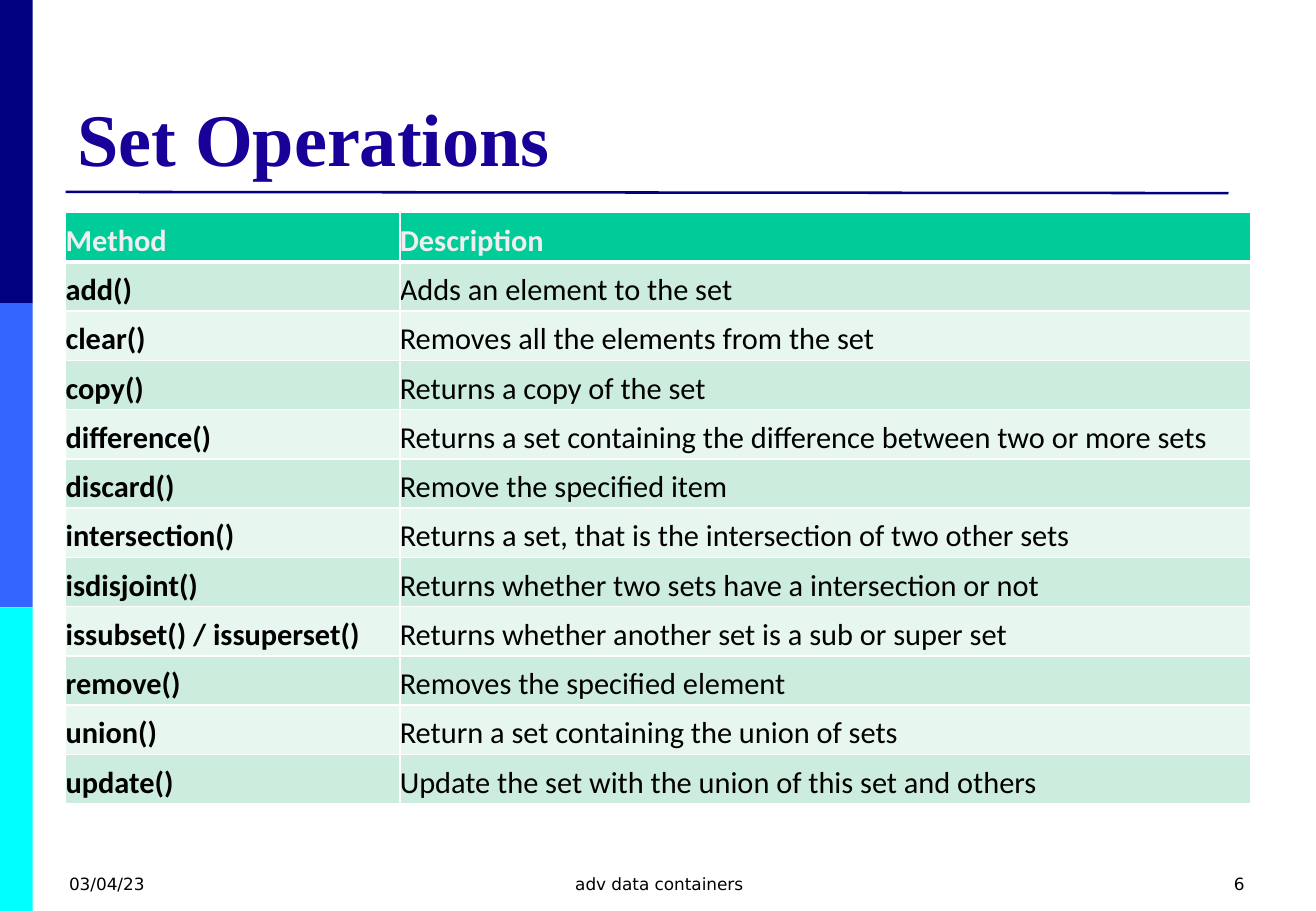
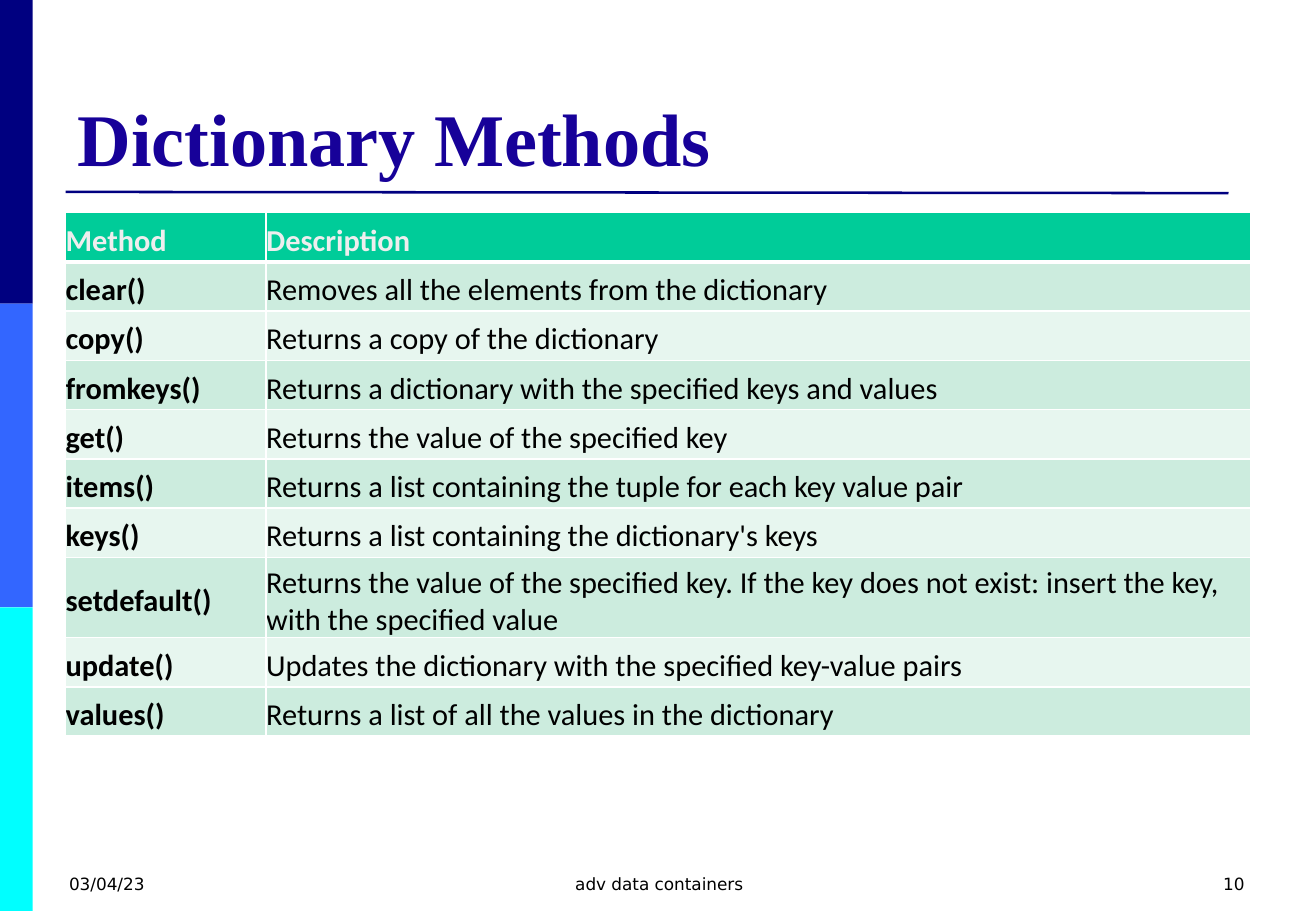
"""Builds two method reference slides with a shared frame and table style."""
from dataclasses import dataclass

from lxml import etree
from pptx import Presentation
from pptx.dml.color import RGBColor
from pptx.enum.shapes import MSO_CONNECTOR, MSO_SHAPE
from pptx.enum.text import MSO_ANCHOR, PP_ALIGN
from pptx.oxml.ns import qn
from pptx.util import Inches, Pt

RECT = MSO_SHAPE.RECTANGLE
STRAIGHT = MSO_CONNECTOR.STRAIGHT
TOP, MIDDLE, BOTTOM = MSO_ANCHOR.TOP, MSO_ANCHOR.MIDDLE, MSO_ANCHOR.BOTTOM
LEFT, CENTER, RIGHT = PP_ALIGN.LEFT, PP_ALIGN.CENTER, PP_ALIGN.RIGHT

NAVY = RGBColor(0x00, 0x00, 0x80)
BLUE = RGBColor(0x33, 0x66, 0xFF)
CYAN = RGBColor(0x00, 0xFF, 0xFF)
TITLE_INK = RGBColor(0x17, 0x01, 0x99)
BLACK = RGBColor(0x00, 0x00, 0x00)
WHITE = RGBColor(0xFF, 0xFF, 0xFF)
HEAD_INK = RGBColor(0xEE, 0xEE, 0xEE)
HEAD_FILL = RGBColor(0x00, 0xCC, 0x99)
BAND_FILLS = (RGBColor(0xCC, 0xEC, 0xDE), RGBColor(0xE7, 0xF6, 0xEF))

SLIDE_W, SLIDE_H = 10.83, 7.5
BAND_W = 0.27
MARGIN = 2 * BAND_W
CONTENT_W = 9.75
TABLE_TOP = 1.75
ROW_H = 4.87 / 12
FOOTER_TOP, FOOTER_H = 7.14, 0.36
HEADER = ("Method", "Description")


@dataclass(frozen=True)
class MethodSlide:
    """Title, page number, first column width and table rows of a slide."""

    title: str
    number: int
    method_w: float
    rows: tuple[tuple[str, str], ...]


SLIDES = (
    MethodSlide("Set Operations", 6, 2.75, (
        ("add()", "Adds an element to the set"),
        ("clear()", "Removes all the elements from the set"),
        ("copy()", "Returns a copy of the set"),
        ("difference()", "Returns a set containing the difference between two or more sets"),
        ("discard()", "Remove the specified item"),
        ("intersection()", "Returns a set, that is the intersection of two other sets"),
        ("isdisjoint()", "Returns whether two sets have a intersection or not"),
        ("issubset() / issuperset()", "Returns whether another set is a sub or super set"),
        ("remove()", "Removes the specified element"),
        ("union()", "Return a set containing the union of sets"),
        ("update()", "Update the set with the union of this set and others"),
    )),
    MethodSlide("Dictionary Methods", 10, 1.65, (
        ("clear()", "Removes all the elements from the dictionary"),
        ("copy()", "Returns a copy of the dictionary"),
        ("fromkeys()", "Returns a dictionary with the specified keys and values"),
        ("get()", "Returns the value of the specified key"),
        ("items()", "Returns a list containing the tuple for each key value pair"),
        ("keys()", "Returns a list containing the dictionary's keys"),
        ("setdefault()", "Returns the value of the specified key. If the key does not exist: "
                         "insert the key, with the specified value"),
        ("update()", "Updates the dictionary with the specified key-value pairs"),
        ("values()", "Returns a list of all the values in the dictionary"),
    )),
)


def write(tf, text: str, *, font: str, size: float, color: RGBColor,
          bold: bool = False, align=LEFT) -> None:
    """Write one formatted paragraph into a text frame."""
    p = tf.paragraphs[0]
    p.alignment = align
    r = p.add_run()
    r.text = text
    r.font.name, r.font.size, r.font.bold = font, Pt(size), bold
    r.font.color.rgb = color


def add_text(s, text: str, x: float, y: float, w: float, h: float, *,
             anchor=TOP, **style) -> None:
    """Add a wrapping text box."""
    tf = s.shapes.add_textbox(Inches(x), Inches(y), Inches(w), Inches(h)).text_frame
    tf.word_wrap = True
    tf.vertical_anchor = anchor
    write(tf, text, **style)


def add_frame(s, title: str, number: int) -> None:
    """Draw the side bands, title, rule and footer."""
    band_h = SLIDE_H / 3
    for i, color in enumerate((NAVY, BLUE, CYAN)):
        sp = s.shapes.add_shape(RECT, 0, Inches(i * band_h), Inches(BAND_W), Inches(band_h))
        sp.shadow.inherit = False
        sp.fill.solid()
        sp.fill.fore_color.rgb = color
        sp.line.fill.background()
    rule = s.shapes.add_connector(STRAIGHT, Inches(MARGIN), Inches(1.58),
                                  Inches(10.11), Inches(1.59))
    rule.line.color.rgb = NAVY
    rule.line.width = Pt(1.5)
    etree.SubElement(rule.line._get_or_add_ln().getparent(), qn("a:effectLst"))
    add_text(s, title, MARGIN, 0.3, CONTENT_W, 1.24, anchor=BOTTOM,
             font="Times New Roman", size=44, color=TITLE_INK, bold=True)
    footers = (("03/04/23", 0.47, 2.53, LEFT),
               ("adv data containers", 3.71, 3.43, CENTER),
               (str(number), 7.81, 2.53, RIGHT))
    for text, x, w, align in footers:
        add_text(s, text, x, FOOTER_TOP, w, FOOTER_H,
                 font="DejaVu Sans", size=10, color=BLACK, align=align)


def set_borders(cell, bottom: float) -> None:
    """Give a cell white borders, with its own bottom width in points."""
    tc_pr = cell._tc.get_or_add_tcPr()
    for i, (side, width) in enumerate((("L", 1), ("R", 1), ("T", 1), ("B", bottom))):
        ln = etree.Element(qn(f"a:ln{side}"), w=str(Pt(width)))
        fill = etree.SubElement(ln, qn("a:solidFill"))
        etree.SubElement(fill, qn("a:srgbClr"), val=str(WHITE))
        tc_pr.insert(i, ln)


def add_method_table(s, method_w: float, rows: tuple[tuple[str, str], ...]) -> None:
    """Add the banded table of methods and descriptions."""
    lines = (HEADER, *rows)
    table = s.shapes.add_table(len(lines), len(HEADER), Inches(MARGIN), Inches(TABLE_TOP),
                               Inches(CONTENT_W), Inches(ROW_H * len(lines))).table
    for column, w in zip(table.columns, (method_w, CONTENT_W - method_w)):
        column.width = Inches(w)
    for i, line in enumerate(lines):
        head = i == 0
        for j, text in enumerate(line):
            cell = table.cell(i, j)
            cell.margin_left = cell.margin_bottom = 0
            cell.margin_top = cell.margin_right = Inches(0.06)
            cell.vertical_anchor = MIDDLE
            cell.fill.solid()
            cell.fill.fore_color.rgb = HEAD_FILL if head else BAND_FILLS[(i - 1) % 2]
            set_borders(cell, 3 if head else 1)
            write(cell.text_frame, text, font="Calibri", size=18,
                  color=HEAD_INK if head else BLACK, bold=head or j == 0)


def main() -> None:
    """Build and save the presentation."""
    prs = Presentation()
    prs.slide_width, prs.slide_height = Inches(SLIDE_W), Inches(SLIDE_H)
    for spec_slide in SLIDES:
        s = prs.slides.add_slide(prs.slide_layouts[6])
        add_frame(s, spec_slide.title, spec_slide.number)
        add_method_table(s, spec_slide.method_w, spec_slide.rows)
    prs.save("out.pptx")


if __name__ == "__main__":
    main()
